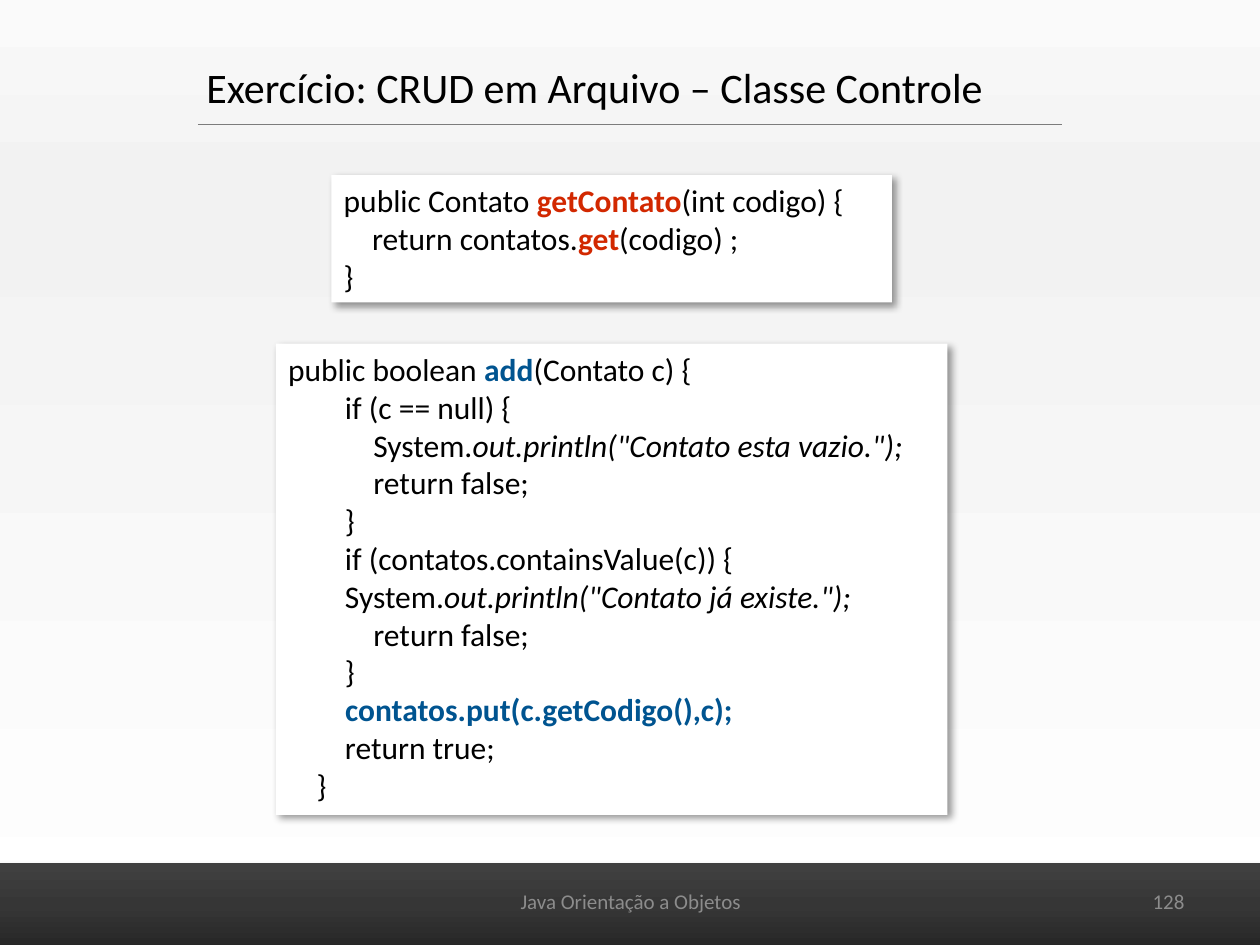
from dataclasses import dataclass
from typing import NamedTuple

from lxml.etree import SubElement
from pptx import Presentation
from pptx.dml.color import RGBColor
from pptx.enum.shapes import MSO_CONNECTOR as Connector, MSO_SHAPE as Preset
from pptx.enum.text import MSO_ANCHOR as Anchor, MSO_AUTO_SIZE as AutoSize, PP_ALIGN as Align
from pptx.oxml.ns import qn
from pptx.util import Cm, Pt

COLORS = {
    "text": "000000", "shadow": "000000", "panel": "FFFFFF", "rule": "7C7C7C",
    "footer": "8C8C8C", "red": "D22800", "blue": "005490",
}
BACKGROUND_STOPS = [(0, "FAFAFA"), (20, "F2F2F2"), (100, "FFFFFF")]
BAR_STOPS = [(0, "262626"), (50, "363636"), (100, "404040")]


class Box(NamedTuple):
    left: float
    top: float
    width: float
    height: float

    def lengths(self) -> list:
        return [Cm(value) for value in self]


class Shadow(NamedTuple):
    opacity: int
    blur: float
    distance: float
    angle: int


class Code(NamedTuple):
    text: str
    accent: str = ""
    italic: bool = False


@dataclass
class Label:
    text: str
    box: Box
    size: int
    color: str
    align: Align = Align.LEFT
    anchor: Anchor = Anchor.MIDDLE
    wrap: bool = True
    auto_size: AutoSize = AutoSize.NONE


@dataclass
class CodePanel:
    box: Box
    lines: list[list[Code]]


BAR_SHADOW = Shadow(35, 3.1, 1.8, 90)
PANEL_SHADOW = Shadow(40, 4, 3, 45)

LABELS = [
    Label("Exercício: CRUD em Arquivo – Classe Controle", Box(3.91, 1.12, 16.31, 1.27), 24,
          "text", anchor=Anchor.TOP, wrap=False, auto_size=AutoSize.SHAPE_TO_FIT_TEXT),
    Label("128", Box(18.21, 17.65, 5.92, 1.02), 12, "footer", Align.RIGHT),
    Label("Java Orientação a Objetos", Box(8.69, 17.65, 8.05, 1.02), 12, "footer", Align.CENTER),
]

PANELS = [
    CodePanel(Box(6.68, 3.53, 11.3, 2.57), [
        [Code("public Contato "), Code("getContato", "red"), Code("(int codigo) {")],
        [Code("    return contatos."), Code("get", "red"), Code("(codigo) ;")],
        [Code("}")],
    ]),
    CodePanel(Box(5.56, 6.93, 13.54, 9.5), [
        [Code("public boolean "), Code("add", "blue"), Code("(Contato c) {")],
        [Code("        if (c == null) {")],
        [Code("            System."), Code('out.println("Contato esta vazio.");', italic=True)],
        [Code("            return false;")],
        [Code("        }")],
        [Code("        if (contatos.containsValue(c)) {")],
        [Code("        System."), Code('out.println("Contato já existe.");', italic=True)],
        [Code("            return false;")],
        [Code("        }")],
        [Code("        "), Code("contatos.put(c.getCodigo(),c);", "blue")],
        [Code("        return true;")],
        [Code("    }")],
    ]),
]


def rgb(name: str) -> RGBColor:
    return RGBColor.from_string(COLORS[name])


def set_gradient(fill, owner, stops: list[tuple[int, str]], angle: int) -> None:
    """Give the fill inside the owner element any number of stops, at a clockwise angle."""
    fill.gradient()
    gradient = owner.find(".//" + qn("a:gradFill"))
    stop_list = gradient.find(qn("a:gsLst"))
    for old_stop in list(stop_list):
        stop_list.remove(old_stop)
    for position, color in stops:
        stop = SubElement(stop_list, qn("a:gs"), pos=str(position * 1000))
        SubElement(stop, qn("a:srgbClr"), val=color)
    gradient.find(qn("a:lin")).set("ang", str(angle * 60000))


def set_shadow(shape, shadow: Shadow) -> None:
    shape.shadow.inherit = False
    effects = shape.element.spPr.find(qn("a:effectLst"))
    outer = SubElement(effects, qn("a:outerShdw"), blurRad=str(Pt(shadow.blur)),
                       dist=str(Pt(shadow.distance)), dir=str(shadow.angle * 60000),
                       algn="tl", rotWithShape="0")
    color = SubElement(outer, qn("a:srgbClr"), val=COLORS["shadow"])
    SubElement(color, qn("a:alpha"), val=str(shadow.opacity * 1000))


def add_rectangle(slide, box: Box, shadow: Shadow):
    rectangle = slide.shapes.add_shape(Preset.RECTANGLE, *box.lengths())
    rectangle.line.fill.background()
    set_shadow(rectangle, shadow)
    return rectangle


def style_paragraph(paragraph, size: int, color: str, align: Align) -> None:
    paragraph.alignment = align
    paragraph.font.name = "Calibri"
    paragraph.font.size = Pt(size)
    paragraph.font.color.rgb = rgb(color)


def add_label(slide, label: Label) -> None:
    frame = slide.shapes.add_textbox(*label.box.lengths()).text_frame
    frame.word_wrap = label.wrap
    frame.auto_size = label.auto_size
    frame.vertical_anchor = label.anchor
    frame.text = label.text
    style_paragraph(frame.paragraphs[0], label.size, label.color, label.align)


def add_code_panel(slide, panel: CodePanel) -> None:
    rectangle = add_rectangle(slide, panel.box, PANEL_SHADOW)
    rectangle.fill.solid()
    rectangle.fill.fore_color.rgb = rgb("panel")
    frame = rectangle.text_frame
    frame.word_wrap = True
    frame.auto_size = AutoSize.SHAPE_TO_FIT_TEXT
    frame.vertical_anchor = Anchor.TOP
    for number, line in enumerate(panel.lines):
        paragraph = frame.add_paragraph() if number else frame.paragraphs[0]
        style_paragraph(paragraph, 18, "text", Align.LEFT)
        for code in line:
            run = paragraph.add_run()
            run.text = code.text
            if code.accent:
                run.font.bold = True
                run.font.color.rgb = rgb(code.accent)
            if code.italic:
                run.font.italic = True


def add_title_rule(slide) -> None:
    rule = slide.shapes.add_connector(Connector.STRAIGHT, Cm(3.99), Cm(2.51), Cm(21.41), Cm(2.51))
    rule.line.color.rgb = rgb("rule")
    rule.line.width = Pt(0.75)
    SubElement(rule.element.spPr, qn("a:effectLst"))


def main() -> None:
    deck = Presentation()
    deck.slide_width, deck.slide_height = Cm(25.4), Cm(19.05)
    slide = deck.slides.add_slide(deck.slide_layouts[6])
    set_gradient(slide.background.fill, slide.element, BACKGROUND_STOPS, 90)

    footer_bar = add_rectangle(slide, Box(-0.3, 17.4, 26, 1.73), BAR_SHADOW)
    set_gradient(footer_bar.fill, footer_bar.element, BAR_STOPS, 270)
    add_title_rule(slide)
    for label in LABELS:
        add_label(slide, label)
    for panel in PANELS:
        add_code_panel(slide, panel)
    deck.save("out.pptx")


if __name__ == "__main__":
    main()
